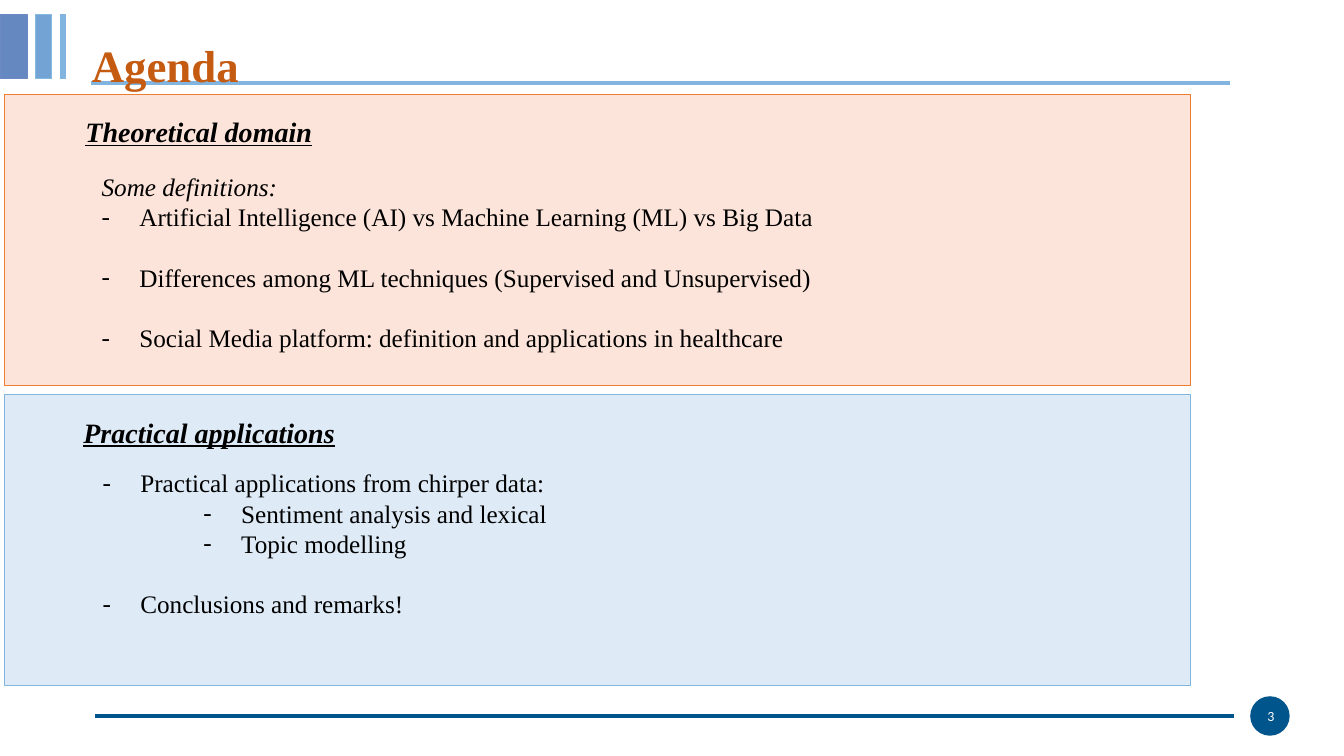
from lxml import etree
from pptx import Presentation
from pptx.dml.color import RGBColor
from pptx.enum.shapes import MSO_CONNECTOR, MSO_SHAPE
from pptx.enum.text import MSO_ANCHOR, PP_ALIGN
from pptx.oxml.ns import qn
from pptx.util import Pt

RECT = MSO_SHAPE.RECTANGLE
PROCESS = MSO_SHAPE.FLOWCHART_PROCESS
OVAL = MSO_SHAPE.OVAL
STRAIGHT = MSO_CONNECTOR.STRAIGHT
TOP, MIDDLE = MSO_ANCHOR.TOP, MSO_ANCHOR.MIDDLE
LEFT, CENTER = PP_ALIGN.LEFT, PP_ALIGN.CENTER

BLACK = RGBColor(0x00, 0x00, 0x00)
WHITE = RGBColor(0xFF, 0xFF, 0xFF)
RUST = RGBColor(0xC5, 0x5A, 0x11)
ORANGE = RGBColor(0xED, 0x7D, 0x31)
PEACH = RGBColor(0xFD, 0xE4, 0xDA)
PALE_BLUE = RGBColor(0xDE, 0xEB, 0xF7)
SKY = RGBColor(0x81, 0xB4, 0xDF)
LIGHT_SKY = RGBColor(0x85, 0xBA, 0xE3)
MID_BLUE = RGBColor(0x73, 0xA3, 0xD5)
INDIGO = RGBColor(0x65, 0x88, 0xC1)
INDIGO_LINE = RGBColor(0x6C, 0x89, 0xC3)
NAVY = RGBColor(0x00, 0x55, 0x8C)

SERIF = "Times New Roman"
BODY = {"size": Pt(18), "name": SERIF}
HEADING = {"size": Pt(20), "name": SERIF, "bold": True, "italic": True, "underline": True}
TITLE = {"size": Pt(32), "name": SERIF, "bold": True}
NUMBER = {"size": Pt(10), "name": "Calibri"}

LINE_PITCH = 21.6
HANG = 27
LEVEL_INDENT = 72


class SlideBuilder:
    def __init__(self, s):
        self.s = s

    def shape(self, kind, x, y, w, h, fill, line=None, weight=1):
        sp = self.s.shapes.add_shape(kind, Pt(x), Pt(y), Pt(w), Pt(h))
        sp.shadow.inherit = False
        sp.fill.solid()
        sp.fill.fore_color.rgb = fill
        if line is None:
            sp.line.fill.background()
        else:
            sp.line.color.rgb = line
            sp.line.width = Pt(weight)

    def rule(self, x, y, w, color):
        cn = self.s.shapes.add_connector(STRAIGHT, Pt(x), Pt(y), Pt(x + w), Pt(y))
        cn.line.color.rgb = color
        cn.line.width = Pt(3)
        etree.SubElement(cn._element.spPr, qn("a:effectLst"))

    def frame(self, x, y, w, h, anchor=TOP):
        tf = self.s.shapes.add_textbox(Pt(x), Pt(y), Pt(w), Pt(h)).text_frame
        tf.word_wrap = True
        tf.vertical_anchor = anchor
        return tf

    def run(self, p, text, fmt, color):
        r = p.add_run()
        r.text = text
        for key, value in fmt.items():
            setattr(r.font, key, value)
        r.font.color.rgb = color

    def label(self, x, y, w, h, text, fmt, color=BLACK, anchor=TOP, align=LEFT):
        p = self.frame(x, y, w, h, anchor).paragraphs[0]
        p.alignment = align
        self.run(p, text, fmt, color)

    def outline(self, x, y, w, h, items):
        tf = self.frame(x, y, w, h)
        for i, (text, level, gap) in enumerate(items):
            p = tf.add_paragraph() if i else tf.paragraphs[0]
            p.line_spacing = Pt(LINE_PITCH)
            p.space_before = Pt(LINE_PITCH * gap)
            self.run(p, text, {**BODY, "italic": level is None}, BLACK)
            if level is not None:
                self.bullet(p, level)

    def bullet(self, p, level):
        p.level = level
        pPr = p._p.get_or_add_pPr()
        pPr.set("marL", str(Pt(HANG + LEVEL_INDENT * level)))
        pPr.set("indent", str(-Pt(HANG)))
        etree.SubElement(pPr, qn("a:buFont"), typeface=SERIF)
        etree.SubElement(pPr, qn("a:buChar"), char="-")


def main():
    prs = Presentation()
    prs.slide_width, prs.slide_height = Pt(960), Pt(540)
    b = SlideBuilder(prs.slides.add_slide(prs.slide_layouts[6]))

    b.rule(65, 59.5, 813.5, SKY)
    for x, w, fill, line in [
        (0, 19.5, INDIGO, INDIGO_LINE),
        (25.3, 11.5, MID_BLUE, LIGHT_SKY),
        (43.2, 3.6, SKY, SKY),
    ]:
        b.shape(PROCESS, x, 10.5, w, 45.5, fill, line)
    b.rule(67.8, 511.5, 813.5, NAVY)
    b.shape(OVAL, 893, 497.3, 28.2, 28.2, NAVY)

    for y, fill, line in [(281.6, PALE_BLUE, SKY), (67.5, PEACH, ORANGE)]:
        b.shape(RECT, 3, y, 847, 208, fill, line, 0.5)

    b.label(870, 494, 75.5, 35, "3", NUMBER, WHITE, MIDDLE, CENTER)
    b.label(58.5, 10.8, 828, 70.5, "Agenda", TITLE, RUST, MIDDLE)
    b.label(54, 78, 335, 31.5, "Theoretical domain", HEADING)
    b.label(52.5, 293, 332, 31.5, "Practical applications", HEADING)

    b.outline(65.5, 119, 781, 138, [
        ("Some definitions:", None, 0),
        ("Artificial Intelligence (AI) vs Machine Learning (ML) vs Big Data", 0, 0),
        ("Differences among ML techniques (Supervised and Unsupervised)", 0, 1),
        ("Social Media platform: definition and applications in healthcare", 0, 1),
    ])
    b.outline(66.2, 330.5, 684, 116.5, [
        ("Practical applications from chirper data:", 0, 0),
        ("Sentiment analysis and lexical", 1, 0),
        ("Topic modelling", 1, 0),
        ("Conclusions and remarks!", 0, 1),
    ])
    prs.save("out.pptx")


if __name__ == "__main__":
    main()
